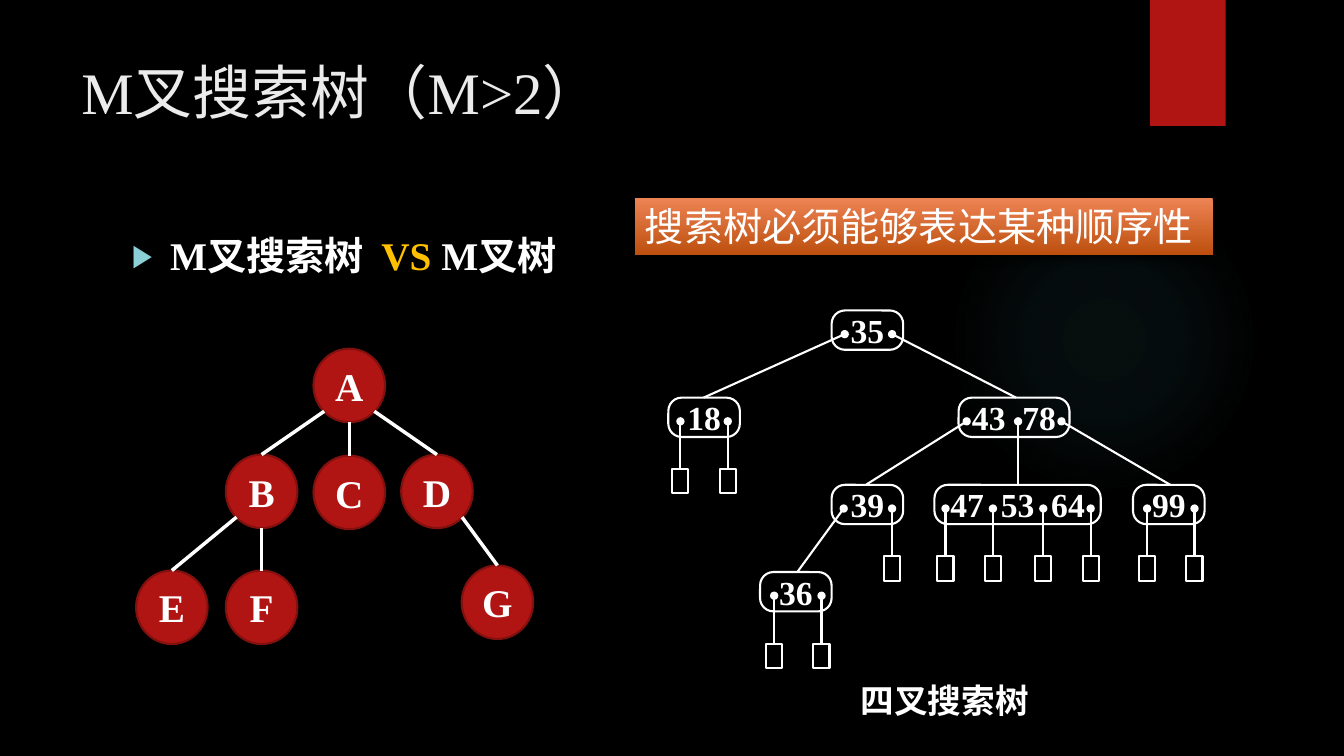
from pptx import Presentation
from pptx.dml.color import RGBColor
from pptx.enum.shapes import MSO_CONNECTOR, MSO_SHAPE
from pptx.enum.text import MSO_ANCHOR, MSO_AUTO_SIZE, PP_ALIGN
from pptx.oxml import parse_xml
from pptx.oxml.ns import nsdecls, qn
from pptx.util import Inches, Pt

# Grid: ten columns or rows to the inch
COLS, ROWS = 133.33, 75
SERIF = "Times New Roman"
WHITE, RED, DARK, GOLD, TEAL = "FFFFFF", "B01513", "82100E", "FFC000", "8AD0D6"

# Letter tree: name -> left column, top row
DISC_W, DISC_H = 7.1, 7.3
DISCS = {"A": (31.1, 34.6), "B": (22.4, 45.1), "C": (31.1, 45.2),
         "D": (39.8, 45.1), "E": (13.5, 56.6), "F": (22.4, 56.6),
         "G": (45.8, 56.1)}
# Parent, child, side of the parent where the edge leaves
EDGES = [("A", "B", -1), ("A", "C", 0), ("A", "D", 1),
         ("B", "E", -1), ("B", "F", 0), ("D", "G", 1)]

# Search tree: keys, level, left, width, ports as (column, column of child);
# a port without a child leads to an empty leaf
NODES = [
    ("35", 0, 82.5, 7.1, [(83.8, 69.8), (88.5, 100.8)]),
    ("18", 1, 66.3, 7.1, [(67.5, None), (72.2, None)]),
    ("43  78", 1, 95.1, 11, [(95.9, 85.9), (101, 101), (105.3, 116.1)]),
    ("39", 2, 82.5, 7.1, [(83.7, 79.1), (88.5, None)]),
    ("47  53  64", 2, 92.7, 16.5,
     [(93.8, None), (98.5, None), (103.5, None), (108.2, None)]),
    ("99", 2, 112.4, 7.1, [(113.8, None), (118.5, None)]),
    ("36", 3, 75.4, 7.1, [(76.8, None), (81.5, None)]),
]
NODE_H, LEAF_W, LEAF_H = 3.9, 1.6, 2.4
PORT_DY, LEAF_DY = 2.35, 7.1


def unit(n):
    return Inches(n / 10)


def color(code):
    return RGBColor.from_string(code)


def level_top(level):
    return 30.8 + 8.65 * level


def write(item, text, size=24, bold=False, font=SERIF, ink=WHITE,
          align=PP_ALIGN.LEFT, anchor=MSO_ANCHOR.TOP, wrap=True, side=None):
    """Fill item with text: a string or a list of (words, colour)."""
    frame = item.text_frame
    frame.word_wrap = wrap
    frame.vertical_anchor = anchor
    if side is not None:
        frame.margin_left = frame.margin_right = unit(side)
    para = frame.paragraphs[0]
    para.alignment = align
    for words, tint in [(text, ink)] if isinstance(text, str) else text:
        run = para.add_run()
        run.text = words
        run.font.size = Pt(size)
        run.font.bold = bold
        run.font.name = font
        run.font.color.rgb = color(tint)
    return para


def shape(shapes, kind, x, y, w, h, fill=None, line=None):
    item = shapes.add_shape(kind, unit(x), unit(y), unit(w), unit(h))
    item.shadow.inherit = False
    if fill:
        item.fill.solid()
        item.fill.fore_color.rgb = color(fill)
    else:
        item.fill.background()
    if line:
        item.line.color.rgb = color(line)
        item.line.width = Pt(1.5)
    else:
        item.line.fill.background()
    return item


def label(shapes, x, y, w, h, text, **style):
    box = shapes.add_textbox(unit(x), unit(y), unit(w), unit(h))
    return write(box, text, **style)


def link(shapes, start, end, width, dot=False):
    line = shapes.add_connector(MSO_CONNECTOR.STRAIGHT,
                                *map(unit, (*start, *end)))
    line.line.color.rgb = color(WHITE)
    line.line.width = Pt(width)
    if dot:
        line.line._get_or_add_ln().append(
            parse_xml(f'<a:headEnd {nsdecls("a")} type="oval"/>'))
    line._element.spPr.append(parse_xml(f'<a:effectLst {nsdecls("a")}/>'))


def blend(item, stops, way):
    """Gradient from stops of (place, colour, alpha), all in percent."""
    item.fill.gradient()
    marks = "".join(
        f'<a:gs pos="{place * 1000}"><a:srgbClr val="{code}">'
        f'<a:alpha val="{alpha * 1000}"/></a:srgbClr></a:gs>'
        for place, code, alpha in stops)
    old = item._element.spPr.find(qn("a:gradFill"))
    old.getparent().replace(old, parse_xml(
        f'<a:gradFill {nsdecls("a")} rotWithShape="1">'
        f'<a:gsLst>{marks}</a:gsLst>{way}</a:gradFill>'))


def shade(item, alpha, blur, dist):
    item._element.spPr.find(qn("a:effectLst")).append(parse_xml(
        f'<a:outerShdw {nsdecls("a")} blurRad="{Pt(blur)}" dist="{Pt(dist)}" '
        f'dir="5400000" rotWithShape="0"><a:srgbClr val="000000">'
        f'<a:alpha val="{alpha * 1000}"/></a:srgbClr></a:outerShdw>'))


def bullet(para, mark, tint, size, indent):
    props = para._p.get_or_add_pPr()
    props.set("marL", str(unit(indent)))
    props.set("indent", str(-unit(indent)))
    for part in (f'<a:buClr {nsdecls("a")}><a:srgbClr val="{tint}"/></a:buClr>',
                 f'<a:buSzPct {nsdecls("a")} val="{size * 1000}"/>',
                 f'<a:buFont {nsdecls("a")} typeface="Arial"/>',
                 f'<a:buChar {nsdecls("a")} char="{mark}"/>'):
        props.append(parse_xml(part))


def letters(shapes):
    for name, (x, y) in DISCS.items():
        disc = shape(shapes, MSO_SHAPE.OVAL, x, y, DISC_W, DISC_H, RED, DARK)
        write(disc, name, size=28, bold=True, align=PP_ALIGN.CENTER,
              anchor=MSO_ANCHOR.MIDDLE, side=0)
    for top, low, side in EDGES:
        (x, y), (cx, cy) = DISCS[top], DISCS[low]
        drop = 0.85 if side else 1
        link(shapes, (cx + DISC_W / 2, cy),
             (x + DISC_W * (0.5 + 0.35 * side), y + DISC_H * drop), 2.5)


def search(shapes):
    for keys, level, x, w, ports in NODES:
        y = level_top(level)
        node = shape(shapes, MSO_SHAPE.ROUNDED_RECTANGLE, x, y, w, NODE_H,
                     line=WHITE)
        node.adjustments[0] = 0.34
        write(node, keys, bold=True, align=PP_ALIGN.CENTER,
              anchor=MSO_ANCHOR.MIDDLE, wrap=False)
        for port, child in ports:
            if child is None:
                end = (port, y + LEAF_DY)
                shape(shapes, MSO_SHAPE.RECTANGLE, port - LEAF_W / 2,
                      y + LEAF_DY, LEAF_W, LEAF_H, line=WHITE)
            else:
                end = (child, level_top(level + 1))
            link(shapes, (port, y + PORT_DY), end, 1.5, dot=True)
    label(shapes, 84.4, 67, 30.7, 5, "四叉搜索树", bold=True)


def main():
    deck = Presentation()
    deck.slide_width, deck.slide_height = unit(COLS), unit(ROWS)
    slide = deck.slides.add_slide(deck.slide_layouts[6])
    slide.background.fill.solid()
    slide.background.fill.fore_color.rgb = color("000000")
    shapes = slide.shapes

    # Backdrop: faint glow and red ribbon
    glow = shape(shapes, MSO_SHAPE.OVAL, 94.1, 18.3, 30.8, 30.8)
    blend(glow, [(0, "50B9C1", 7), (36, "50B9C1", 6), (69, "50B9C1", 0)],
          '<a:path path="circle"><a:fillToRect l="50000" t="50000" '
          'r="50000" b="50000"/></a:path>')
    ribbon = shape(shapes, MSO_SHAPE.RECTANGLE, 114.1, 0, 7.5, 12.5, RED)
    shade(ribbon, 45, 3, 2)

    # Title and bullet line
    label(shapes, 7.1, 5, 102.9, 15.3, "M叉搜索树（M>2）", size=42, ink="EBEBEB")
    para = label(shapes, 12.1, 22.5, 97.8, 45.9,
                 [("M叉搜索树  ", WHITE), ("VS", GOLD), (" M叉树", WHITE)],
                 size=28, bold=True)
    para.space_before = Pt(10)
    bullet(para, "▶", TEAL, 80, 3.8)

    # Trees and banner
    letters(shapes.add_group_shape().shapes)
    banner = shape(shapes, MSO_SHAPE.RECTANGLE, 63, 19.6, 57.3, 5.7)
    blend(banner, [(0, "EE8455", 100), (100, "BC4F0E", 100)],
          '<a:lin ang="5400000" scaled="0"/>')
    shade(banner, 60, 5, 3)
    write(banner, "搜索树必须能够表达某种顺序性", size=28, font="Quicksand")
    banner.text_frame.auto_size = MSO_AUTO_SIZE.SHAPE_TO_FIT_TEXT
    search(shapes.add_group_shape().shapes)

    deck.save("out.pptx")


if __name__ == "__main__":
    main()
